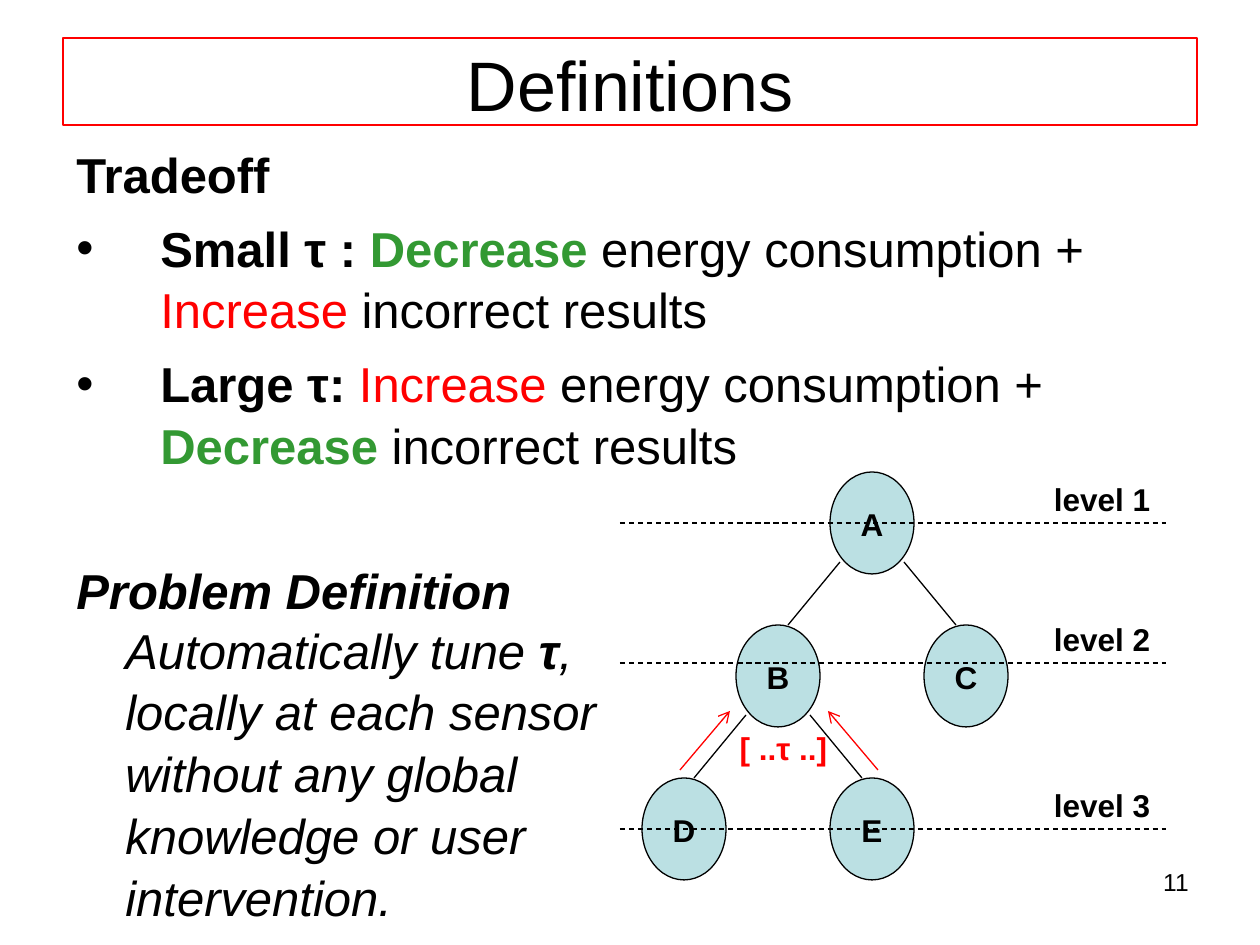
import pptx
import pptx.dml.color
import pptx.enum.dml
import pptx.enum.shapes
import pptx.enum.text
import pptx.oxml.ns
import pptx.util
from lxml import etree

COLORS = {"black": "000000", "red": "FF0000", "green": "339933", "node": "BBE0E3"}
ALIGN = pptx.enum.text.PP_ALIGN
ANCHOR = pptx.enum.text.MSO_ANCHOR
SHAPE = pptx.enum.shapes.MSO_SHAPE
PX_PER_INCH = 126


def emu(px):
    return pptx.util.Emu(round(px * 914400 / PX_PER_INCH))


def rgb(name):
    return pptx.dml.color.RGBColor.from_string(COLORS[name])


def add_xml(parent, tag, **attributes):
    return etree.SubElement(parent, pptx.oxml.ns.qn(tag), **attributes)


class SlideBuilder:
    font_name = "Arial"
    line_width = 0.75
    line_spacing = 1.05

    def __init__(self, slide):
        self.slide = slide

    def format_run(self, run, size, color="black", bold=False, italic=False):
        font = run.font
        font.name, font.size = self.font_name, pptx.util.Pt(size)
        font.bold, font.italic = bold, italic
        font.color.rgb = rgb(color)

    def fill_paragraph(self, paragraph, runs, size, align=ALIGN.LEFT, space_before=0):
        """Fill a paragraph with (text, style) runs."""
        paragraph.alignment = align
        paragraph.line_spacing = self.line_spacing
        paragraph.space_before = pptx.util.Pt(space_before)
        for text, style in runs:
            run = paragraph.add_run()
            run.text = text
            self.format_run(run, size, **style)

    def bullet(self, paragraph, indent):
        properties = paragraph._p.get_or_add_pPr()
        properties.set("marL", str(emu(indent)))
        properties.set("indent", str(-emu(indent)))
        color = add_xml(properties, "a:buClr")
        add_xml(color, "a:srgbClr", val=COLORS["black"])
        add_xml(properties, "a:buFont", typeface=self.font_name)
        add_xml(properties, "a:buChar", char="•")

    def text(self, left, top, width, height, runs, size, align=ALIGN.LEFT):
        box = self.slide.shapes.add_textbox(*map(emu, (left, top, width, height)))
        box.text_frame.word_wrap = True
        self.fill_paragraph(box.text_frame.paragraphs[0], runs, size, align)
        return box.text_frame

    def shape(self, kind, left, top, width, height, text, size, line, fill=None, bold=False):
        shape = self.slide.shapes.add_shape(kind, *map(emu, (left, top, width, height)))
        shape.shadow.inherit = False
        if fill:
            shape.fill.solid()
            shape.fill.fore_color.rgb = rgb(fill)
        else:
            shape.fill.background()
        shape.line.color.rgb = rgb(line)
        shape.line.width = pptx.util.Pt(self.line_width)
        shape.text_frame.word_wrap = False
        shape.text_frame.vertical_anchor = ANCHOR.MIDDLE
        self.fill_paragraph(shape.text_frame.paragraphs[0], [(text, {"bold": bold})], size,
                            ALIGN.CENTER)

    def line(self, start, end, color="black", dashed=False, arrow=False):
        connector = self.slide.shapes.add_connector(
            pptx.enum.shapes.MSO_CONNECTOR.STRAIGHT, *map(emu, start + end))
        connector.line.color.rgb = rgb(color)
        connector.line.width = pptx.util.Pt(self.line_width)
        if dashed:
            connector.line.dash_style = pptx.enum.dml.MSO_LINE.DASH
        if arrow:
            add_xml(connector.line._get_or_add_ln(), "a:tailEnd", type="arrow")
        add_xml(connector._element.spPr, "a:effectLst")


def add_definitions(builder):
    bold, plain = {"bold": True}, {}
    increase = ("Increase", {"color": "red"})
    decrease = ("Decrease", {"color": "green", "bold": True})
    energy = (" energy consumption + ", plain)
    results = (" incorrect results", plain)

    frame = builder.text(64, 135, 1142, 674, [("Tradeoff", bold)], 28)
    for label, first, second in (("Small τ : ", decrease, increase),
                                 ("Large τ: ", increase, decrease)):
        paragraph = frame.add_paragraph()
        builder.fill_paragraph(paragraph, [(label, bold), first, energy, second, results], 28,
                               space_before=7)
        builder.bullet(paragraph, 84)
    builder.fill_paragraph(frame.add_paragraph(),
                           [("Problem Definition", {"bold": True, "italic": True})], 28,
                           space_before=47.7)

    italic = {"italic": True}
    builder.text(113, 611, 566, 307, [
        ("Automatically tune ", italic),
        ("τ", {"bold": True, "italic": True}),
        (", locally at each sensor without any global knowledge or user intervention.", italic),
    ], 28)


def add_tree(builder):
    # Nodes on a grid of half-node columns and rows
    width, height = 84, 102
    grid = {"A": (2, 0), "B": (1, 1), "C": (3, 1), "D": (0, 2), "E": (2, 2)}
    corners = {name: (642 + 94 * column, 472 + 153 * row)
               for name, (column, row) in grid.items()}
    for name, (left, top) in corners.items():
        builder.shape(SHAPE.OVAL, left, top, width, height, name, 18, "black", "node", True)

    # Edges from parent to child
    for parent, child in ("AB", "AC", "BD", "BE"):
        (parent_left, parent_top), (child_left, child_top) = corners[parent], corners[child]
        side = 1 if child_left > parent_left else -1
        builder.line((parent_left + width // 2 + 32 * side, parent_top + 90),
                     (child_left + width // 2 - 10 * side, child_top))

    # Dashed levels with their labels
    for number, y in enumerate((523, 663, 829), start=1):
        builder.line((620, y), (1166, y), dashed=True)
        builder.text(1029, y - 51, 146, 50, [(f"level {number}", {"bold": True})], 18,
                     ALIGN.CENTER)

    # Messages sent up to B
    builder.text(709, 721, 149, 50, [("[ ..τ ..]", {"color": "red", "bold": True})], 18,
                 ALIGN.CENTER)
    for side in (-1, 1):
        builder.line((779 + 99 * side, 770), (779 + 49 * side, 711), "red", arrow=True)


def main():
    presentation = pptx.Presentation()
    presentation.slide_width, presentation.slide_height = emu(1260), emu(945)
    slide = presentation.slides.add_slide(presentation.slide_layouts[6])
    builder = SlideBuilder(slide)

    # Title and page number
    builder.shape(SHAPE.RECTANGLE, 63, 38, 1134, 87, "Definitions", 40, "red")
    builder.text(907, 859, 294, 66, [("11", {})], 14, ALIGN.RIGHT)

    add_definitions(builder)
    add_tree(builder)
    presentation.save("out.pptx")


if __name__ == "__main__":
    main()
